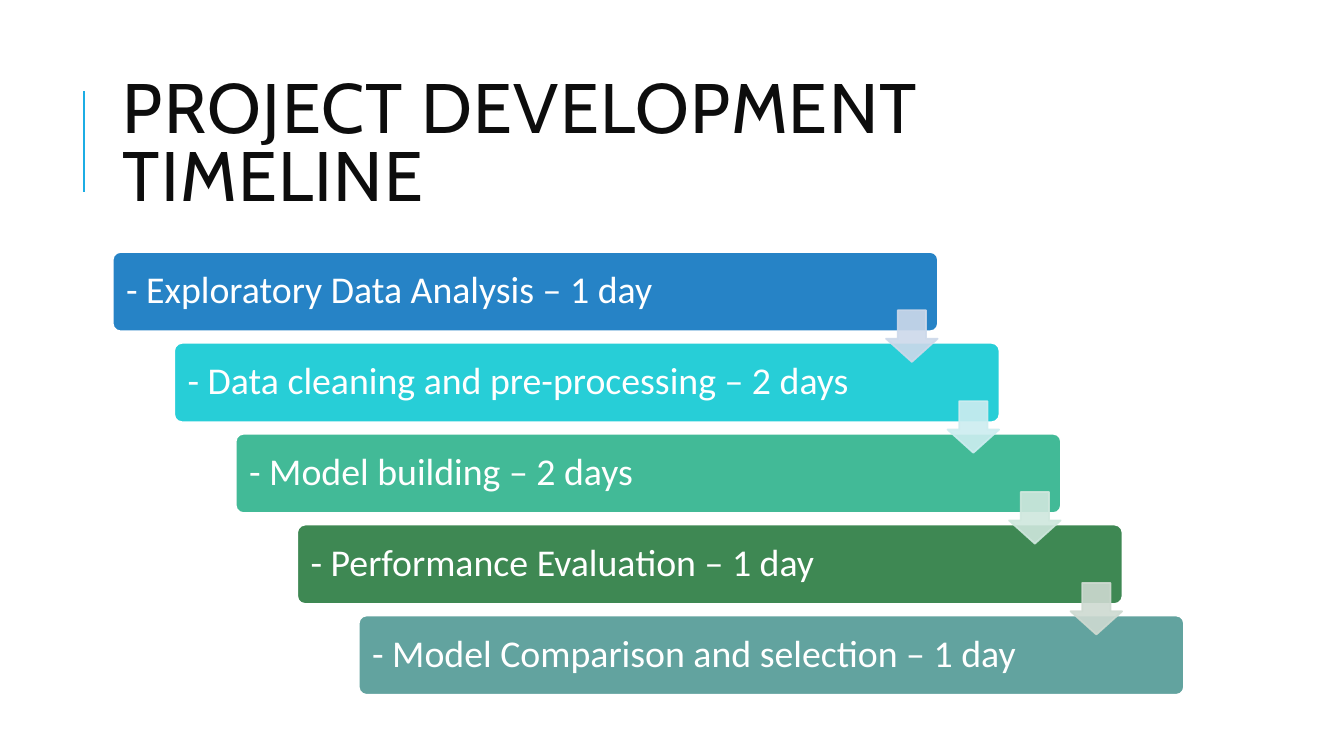
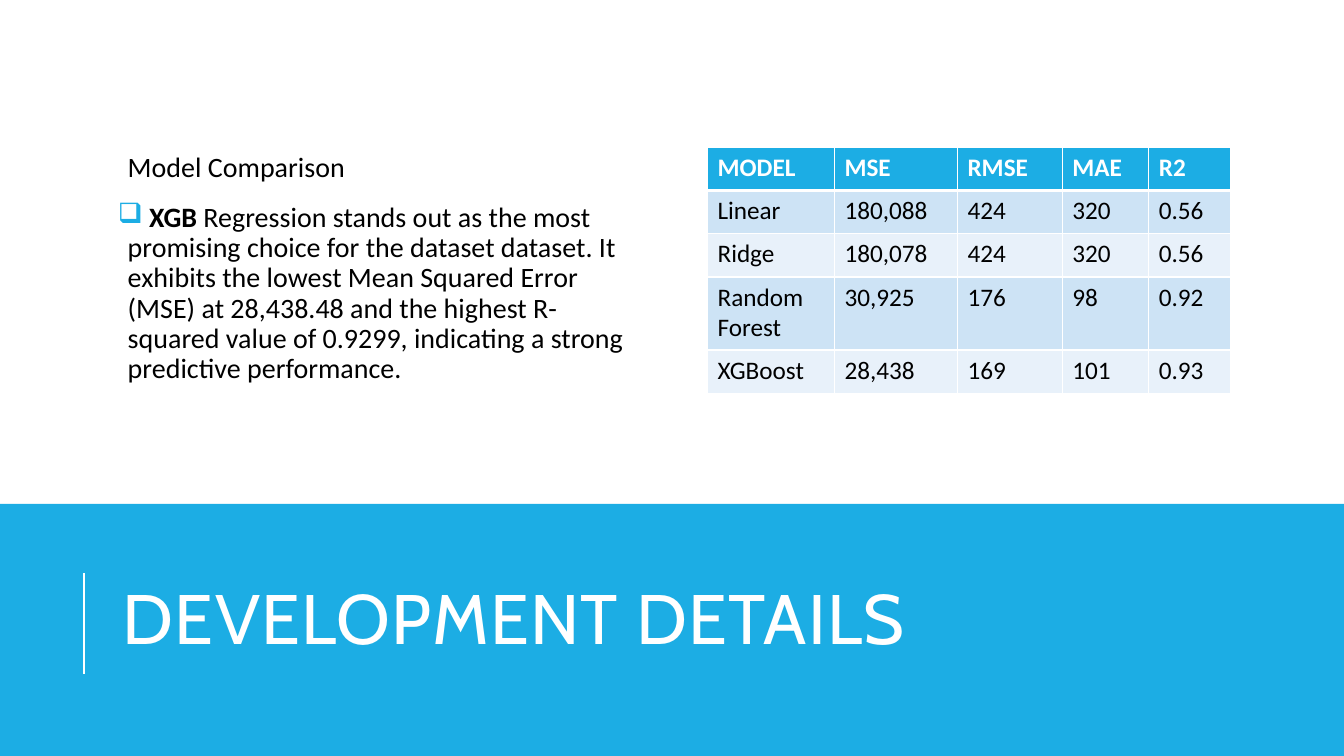
"""Build a project timeline slide and a model comparison slide."""
from lxml.etree import SubElement
from pptx import Presentation
from pptx.dml.color import RGBColor
from pptx.enum.shapes import MSO_CONNECTOR, MSO_SHAPE
from pptx.enum.text import MSO_ANCHOR, MSO_AUTO_SIZE, PP_ALIGN
from pptx.oxml import parse_xml
from pptx.oxml.ns import nsdecls, qn
from pptx.util import Cm, Pt

ACCENT = "1CADE4"
WHITE = "FFFFFF"
BLACK = "000000"
TITLE_FONT = "Cabin"
BODY_FONT = "Calibri"
SLIDE_WIDTH, SLIDE_HEIGHT = Cm(33.87), Cm(19.05)
LEFT = 2.84


def add_run(paragraph, text, size, color, bold=False, font=BODY_FONT):
    run = paragraph.add_run()
    run.text = text
    run.font.name = font
    run.font.size = Pt(size)
    run.font.bold = bold
    run.font.color.rgb = RGBColor.from_string(color)
    return run


def add_title_slide(text, title_top, rule_top, text_color, rule_color):
    slide = presentation.slides.add_slide(presentation.slide_layouts[5])
    title = slide.shapes.title
    title.left, title.top = Cm(LEFT), Cm(title_top)
    title.width, title.height = Cm(27), Cm(4.17)
    frame = title.text_frame
    frame.word_wrap = True
    frame.auto_size = MSO_AUTO_SIZE.NONE
    frame.vertical_anchor = MSO_ANCHOR.MIDDLE
    paragraph = frame.paragraphs[0]
    paragraph.alignment = PP_ALIGN.LEFT
    paragraph.line_spacing = 0.8
    run = add_run(paragraph, text, 50, text_color, font=TITLE_FONT)
    run.font._element.set("spc", "100")
    rule = slide.shapes.add_connector(
        MSO_CONNECTOR.STRAIGHT, Cm(2.11), Cm(rule_top + 2.54), Cm(2.11), Cm(rule_top))
    rule.line.color.rgb = RGBColor.from_string(rule_color)
    rule.line.width = Pt(1.5)
    SubElement(rule._element.spPr, qn("a:effectLst"))
    return slide


presentation = Presentation()
presentation.slide_width = SLIDE_WIDTH
presentation.slide_height = SLIDE_HEIGHT

timeline_slide = add_title_slide("PROJECT DEVELOPMENT TIMELINE", 1.63, 2.29, "0D0D0D", ACCENT)
steps = [
    ("- Exploratory Data Analysis – 1 day", "2683C6"),
    ("- Data cleaning and pre-processing – 2 days", "27CED7"),
    ("- Model building – 2 days", "42BA97"),
    ("- Performance Evaluation – 1 day", "3E8853"),
    ("- Model Comparison and selection – 1 day", "62A39F"),
]
arrow_colors = ["CDD9EA", "CDEDF0", "CFE7DD", "CEDAD1"]
STEP_RIGHT, STEP_DOWN = 1.55, 2.29

for index, (text, color) in enumerate(steps):
    bar = timeline_slide.shapes.add_shape(
        MSO_SHAPE.ROUNDED_RECTANGLE,
        Cm(LEFT + index * STEP_RIGHT), Cm(6.35 + index * STEP_DOWN), Cm(20.8), Cm(2))
    bar.adjustments[0] = 0.1
    bar.shadow.inherit = False
    bar.fill.solid()
    bar.fill.fore_color.rgb = RGBColor.from_string(color)
    bar.line.color.rgb = RGBColor.from_string(WHITE)
    bar.line.width = Pt(1.25)
    frame = bar.text_frame
    frame.word_wrap = True
    frame.vertical_anchor = MSO_ANCHOR.MIDDLE
    frame.margin_left = frame.margin_right = Cm(0.28)
    paragraph = frame.paragraphs[0]
    paragraph.alignment = PP_ALIGN.LEFT
    paragraph.line_spacing = 0.9
    add_run(paragraph, text, 27, WHITE)

for index, color in enumerate(arrow_colors):
    arrow = timeline_slide.shapes.add_shape(
        MSO_SHAPE.DOWN_ARROW,
        Cm(22.33 + index * STEP_RIGHT), Cm(7.82 + index * STEP_DOWN), Cm(1.3), Cm(1.3))
    arrow.adjustments[0] = 0.55
    arrow.adjustments[1] = 0.45
    arrow.shadow.inherit = False
    arrow.fill.solid()
    arrow.fill.fore_color.rgb = RGBColor.from_string(color)
    arrow.line.color.rgb = RGBColor.from_string(color)
    arrow.line.width = Pt(1.25)
    for color_element in arrow._element.spPr.iter(qn("a:srgbClr")):
        SubElement(color_element, qn("a:alpha"), val="90000")

details_slide = add_title_slide("DEVELOPMENT DETAILS", 13.64, 14.45, WHITE, WHITE)
band = details_slide.shapes.add_shape(
    MSO_SHAPE.RECTANGLE, 0, Cm(12.7), SLIDE_WIDTH, SLIDE_HEIGHT - Cm(12.7))
band.shadow.inherit = False
band.fill.solid()
band.fill.fore_color.rgb = RGBColor.from_string(ACCENT)
band.line.fill.background()
details_slide.shapes._spTree.insert(2, band._element)

body = details_slide.shapes.add_textbox(Cm(LEFT), Cm(1.78), Cm(13.18), Cm(10))
frame = body.text_frame
frame.word_wrap = True
frame.vertical_anchor = MSO_ANCHOR.MIDDLE
frame.margin_left = frame.margin_right = frame.margin_top = frame.margin_bottom = Cm(0.13)
heading = frame.paragraphs[0]
finding = frame.add_paragraph()
for paragraph in (heading, finding):
    paragraph.line_spacing = 0.9
    paragraph.space_before = Pt(12)
    paragraph.space_after = Pt(2)
    paragraph._p.get_or_add_pPr().set("marL", str(Cm(0.25)))
add_run(heading, "Model Comparison", 20, BLACK)
finding_properties = finding._p.get_or_add_pPr()
finding_properties.set("indent", str(-Cm(0.25)))
bullet_color = SubElement(finding_properties, qn("a:buClr"))
SubElement(bullet_color, qn("a:srgbClr"), val=ACCENT)
SubElement(finding_properties, qn("a:buChar"), char="❑")
add_run(finding, " ", 20, BLACK)
add_run(finding, "XGB", 20, BLACK, bold=True)
add_run(
    finding,
    " Regression stands out as the most promising choice for the dataset dataset. "
    "It exhibits the lowest Mean Squared Error (MSE) at 28,438.48 and the highest "
    "R-squared value of 0.9299, indicating a strong predictive performance.",
    20, BLACK)

rows = [
    ("MODEL", "MSE", "RMSE", "MAE", "R2"),
    ("Linear", "180,088", "424", "320", "0.56"),
    ("Ridge", "180,078", "424", "320", "0.56"),
    ("Random Forest", "30,925", "176", "98", "0.92"),
    ("XGBoost", "28,438", "169", "101", "0.93"),
]
column_widths = [3.2, 3.1, 2.64, 2.18, 2.06]
row_heights = [1.09, 1.09, 1.09, 1.84, 1.09]
table = details_slide.shapes.add_table(
    len(rows), len(column_widths), Cm(17.83), Cm(3.71),
    Cm(sum(column_widths)), Cm(sum(row_heights))).table
for column, width in zip(table.columns, column_widths):
    column.width = Cm(width)
for row, height in zip(table.rows, row_heights):
    row.height = Cm(height)

for row_index, values in enumerate(rows):
    is_header = row_index == 0
    fill_color = ACCENT if is_header else ("E8F1FA", "CDE3F5")[row_index % 2]
    border_widths = {
        "lnL": 1,
        "lnR": 1,
        "lnT": 3 if row_index == 1 else 1,
        "lnB": 3 if is_header else 1,
    }
    for column_index, value in enumerate(values):
        cell = table.cell(row_index, column_index)
        cell.fill.solid()
        cell.fill.fore_color.rgb = RGBColor.from_string(fill_color)
        add_run(cell.text_frame.paragraphs[0], value, 18,
                WHITE if is_header else BLACK, bold=is_header)
        cell_properties = cell._tc.get_or_add_tcPr()
        for position, (side, width) in enumerate(border_widths.items()):
            cell_properties.insert(position, parse_xml(
                f'<a:{side} {nsdecls("a")} w="{Pt(width)}"><a:solidFill>'
                f'<a:srgbClr val="{WHITE}"/></a:solidFill></a:{side}>'))

presentation.save("out.pptx")
